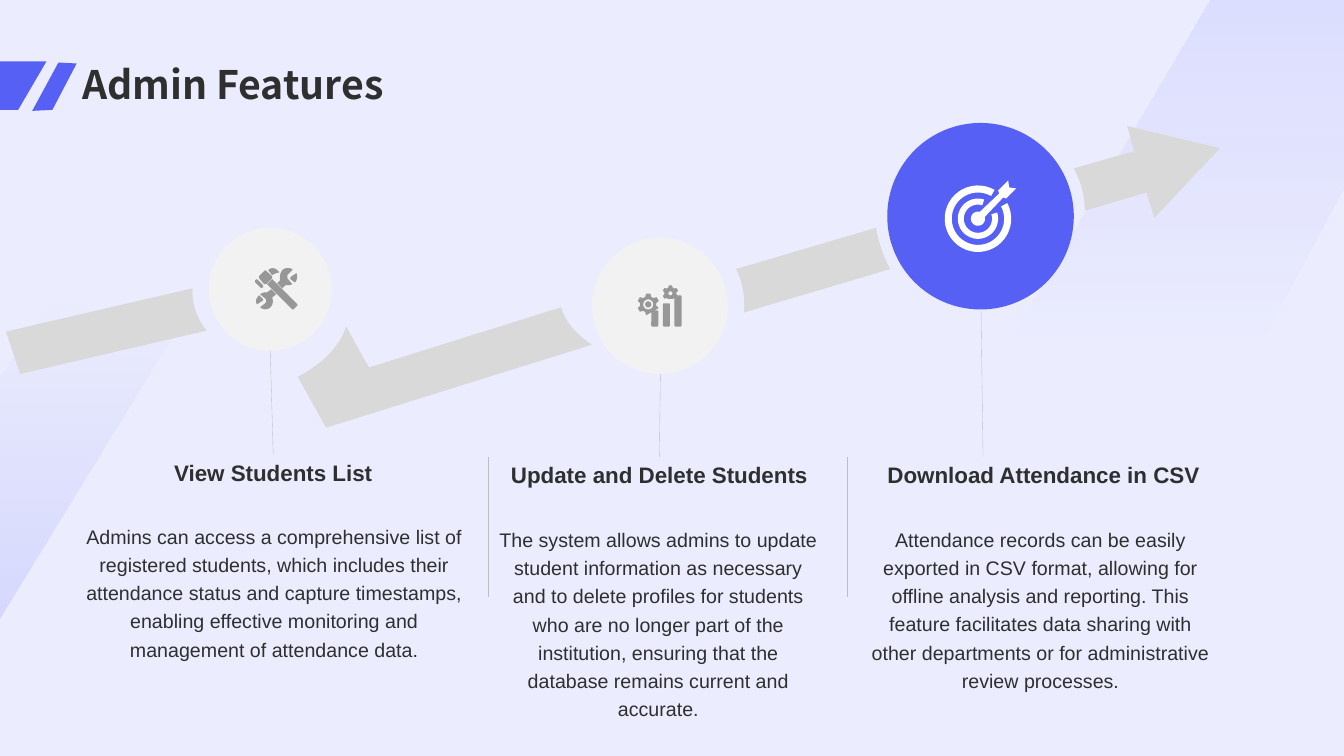
import math

import pptx
import pptx.dml.color
import pptx.enum.shapes
import pptx.enum.text
import pptx.oxml
import pptx.oxml.ns
import pptx.util
from pptx.util import Inches

COLORS = {"ground": "EBECFE", "wedge_left": "ABB1FC", "wedge_right": "ADB3FD",
          "accent": "5660F4", "ink": "2F2F2F", "arrow": "D9D9D9", "disc": "F2F2F2",
          "icon": "979797", "rule": "BFBFBF", "white": "FFFFFF"}
SHAPES = pptx.enum.shapes.MSO_SHAPE
ALIGN = pptx.enum.text.PP_ALIGN
ANCHOR = pptx.enum.text.MSO_ANCHOR


def arc(x, y, radius, start=0, end=360, steps=40):
    """Points on a circle, angles in degrees, clockwise from the right."""
    angles = [math.radians(start + (end - start) * i / steps) for i in range(steps + 1)]
    return [(x + radius * math.cos(a), y + radius * math.sin(a)) for a in angles]


def ring(x, y, outer, inner, start, end):
    return arc(x, y, outer, start, end) + arc(x, y, inner, end, start)


def gear(x, y, outer, root):
    """Outline with six teeth, each 60 degrees apart."""
    points = []
    for tooth in range(6):
        for turn, radius in ((-22, root), (-11, outer), (11, outer), (22, root)):
            angle = math.radians(60 * tooth - 90 + turn)
            points.append((x + radius * math.cos(angle), y + radius * math.sin(angle)))
    return points


def flatten(outline):
    """Replace six-number Bezier steps by points."""
    points = []
    for step in outline:
        if len(step) == 2:
            points.append(step)
            continue
        nodes = [points[-1], step[:2], step[2:4], step[4:]]
        for i in range(1, 9):
            t = i / 8
            weights = ((1 - t) ** 3, 3 * t * (1 - t) ** 2, 3 * t * t * (1 - t), t ** 3)
            points.append(tuple(sum(w * n[axis] for w, n in zip(weights, nodes))
                                for axis in (0, 1)))
    return points


class Painter:
    font = "Arial"

    def __init__(self, page):
        self.page = page

    def rgb(self, name):
        return pptx.dml.color.RGBColor.from_string(COLORS[name])

    def finish(self, shape, color):
        shape.shadow.inherit = False
        shape.line.fill.background()
        shape.fill.solid()
        shape.fill.fore_color.rgb = self.rgb(color)
        return shape

    def preset(self, kind, left, top, width, height, color):
        shape = self.page.shapes.add_shape(
            kind, Inches(left), Inches(top), Inches(width), Inches(height))
        return self.finish(shape, color)

    def outline(self, color, *outlines):
        builder = None
        for points in map(flatten, outlines):
            points = [(Inches(x), Inches(y)) for x, y in points]
            if builder is None:
                builder = self.page.shapes.build_freeform(*points[0])
            else:
                builder.move_to(*points[0])
            builder.add_line_segments(points[1:], close=True)
        return self.finish(builder.convert_to_shape(), color)

    def fade(self, shape, color, stops):
        """Vertical gradient of one colour; stops are (position, opacity) percents."""
        marks = "".join(
            f'<a:gs pos="{position * 1000}"><a:srgbClr val="{COLORS[color]}">'
            f'<a:alpha val="{opacity * 1000}"/></a:srgbClr></a:gs>'
            for position, opacity in stops)
        gradient = pptx.oxml.parse_xml(
            f'<a:gradFill {pptx.oxml.ns.nsdecls("a")} rotWithShape="1"><a:gsLst>{marks}'
            '</a:gsLst><a:lin ang="5400000" scaled="0"/></a:gradFill>')
        properties = shape.element.spPr
        properties.replace(properties.find(pptx.oxml.ns.qn("a:solidFill")), gradient)

    def text(self, words, left, top, width, height, size, bold=False, font=None,
             align=ALIGN.CENTER, anchor=ANCHOR.TOP, spacing=1.0):
        box = self.page.shapes.add_textbox(
            Inches(left), Inches(top), Inches(width), Inches(height))
        frame = box.text_frame
        frame.word_wrap = True
        frame.vertical_anchor = anchor
        frame.text = words
        para = frame.paragraphs[0]
        para.alignment = align
        para.line_spacing = spacing
        span = para.runs[0]
        span.font.name = font or self.font
        span.font.size = pptx.util.Pt(size)
        span.font.bold = bold
        span.font.color.rgb = self.rgb("ink")
        return box

    def rule(self, x1, y1, x2, y2):
        line = self.page.shapes.add_connector(
            pptx.enum.shapes.MSO_CONNECTOR.STRAIGHT,
            Inches(x1), Inches(y1), Inches(x2), Inches(y2))
        line.line.color.rgb = self.rgb("rule")
        line.line.width = pptx.util.Pt(0.25)
        line.element.spPr.append(
            pptx.oxml.parse_xml(f'<a:effectLst {pptx.oxml.ns.nsdecls("a")}/>'))
        return line


def main():
    deck = pptx.Presentation()
    deck.slide_width, deck.slide_height = Inches(13.33), Inches(7.5)
    paint = Painter(deck.slides.add_slide(deck.slide_layouts[6]))

    # Background and title
    paint.preset(SHAPES.RECTANGLE, -0.36, 0, 13.69, 7.5, "ground")
    left_wedge = paint.outline(
        "wedge_left", [(-0.37, 4.27), (0.49, 3.03), (1.9, 3.03), (-0.38, 6.76)])
    paint.fade(left_wedge, "wedge_left", [(0, 0), (100, 40)])
    right_wedge = paint.outline(
        "wedge_right", [(12, 0), (13.33, 0), (13.33, 1.85), (11.97, 4.39), (9.42, 4.39)])
    paint.fade(right_wedge, "wedge_right", [(0, 24), (76, 0)])
    paint.outline("accent", [(0.32, 1.1), (0.58, 0.62), (0.76, 0.63), (0.52, 1.09)])
    paint.outline("accent", [(0.46, 0.61), (-0.36, 0.61), (-0.36, 1.09), (0.18, 1.09)])
    paint.text("Admin Features", 0.72, 0, 11.88, 1.12, 28, True, "Noto Sans CJK SC",
               ALIGN.LEFT, ANCHOR.BOTTOM, 0.9)

    # Broken arrow behind the discs
    back_step = paint.outline("arrow", [
        (3.66, 3.6), (3.46, 3.18), (3.39, 3.37, 3.2, 3.54, 2.95, 3.65), (3.2, 4.17),
        (5.88, 3.51), (5.74, 3.4, 5.63, 3.27, 5.6, 3.12)])
    back_step.rotation = -3.5
    paint.outline("arrow", [
        (7.38, 3.1), (8.83, 2.67), (8.76, 2.54, 8.71, 2.4, 8.69, 2.26), (7.3, 2.67),
        (7.37, 2.8, 7.39, 2.95, 7.38, 3.1)])
    paint.outline("arrow", [
        (10.76, 2.09), (11.37, 1.91), (11.45, 2.16), (12.1, 1.47), (11.18, 1.25),
        (11.25, 1.5), (10.65, 1.67), (10.72, 1.8, 10.76, 1.94, 10.76, 2.09)])
    paint.outline("arrow", [
        (1.91, 2.86), (0.06, 3.29), (0.2, 3.71), (2.05, 3.28),
        (1.95, 3.16, 1.9, 3.01, 1.91, 2.86)])

    # Discs
    for left, top, size, color in ((2.07, 2.26, 1.22, "disc"), (5.87, 2.36, 1.35, "disc"),
                                   (8.8, 1.22, 1.85, "accent")):
        paint.preset(SHAPES.OVAL, left, top, size, size, color)

    # Tools icon: wrench jaws, hammer and handle
    paint.outline(
        "icon",
        [(2.57, 2.93), (2.61, 2.97), (2.61, 2.98), (2.55, 3.02), (2.53, 2.99, 2.54, 2.96, 2.57, 2.93)],
        [(2.69, 2.87), (2.74, 2.92), (2.7, 2.95), (2.71, 2.99, 2.71, 3.02, 2.68, 3.05),
         (2.66, 3.07, 2.62, 3.08, 2.58, 3.05), (2.64, 3), (2.64, 2.97), (2.58, 2.92),
         (2.61, 2.9, 2.63, 2.9, 2.65, 2.9)],
        [(2.7, 2.77), (2.95, 3.02), (2.95, 3.03), (2.91, 3.07), (2.9, 3.07), (2.65, 2.82)],
        [(2.55, 2.77), (2.61, 2.83), (2.61, 2.85), (2.59, 2.86), (2.53, 2.8), (2.53, 2.78)],
        [(2.94, 2.71), (2.95, 2.74, 2.95, 2.77, 2.93, 2.8), (2.92, 2.8), (2.88, 2.77), (2.88, 2.75)],
        [(2.63, 2.68), (2.7, 2.74), (2.7, 2.76), (2.64, 2.82), (2.62, 2.82), (2.57, 2.76), (2.57, 2.74)],
        [(2.66, 2.68), (2.69, 2.65, 2.73, 2.66, 2.75, 2.68), (2.79, 2.72, 2.76, 2.69, 2.7, 2.73)],
        [(2.9, 2.67), (2.9, 2.68), (2.85, 2.73), (2.85, 2.76), (2.9, 2.82),
         (2.88, 2.83, 2.85, 2.83, 2.83, 2.83), (2.8, 2.86), (2.75, 2.81), (2.78, 2.78),
         (2.77, 2.74, 2.78, 2.71, 2.8, 2.68), (2.82, 2.66, 2.86, 2.65, 2.9, 2.67)])

    # Gears and bars icon; the gears are trimmed beside the bars
    large = [(x, y) for x, y in gear(6.43, 3.02, 0.11, 0.08) if x < 6.45 or y < 3.07]
    small = [(x, y) for x, y in gear(6.65, 2.91, 0.08, 0.06) if y < 2.98]
    paint.outline("icon", large, arc(6.43, 3.02, 0.05), arc(6.43, 3.02, 0.03))
    paint.outline("icon", small, arc(6.65, 2.91, 0.02))
    for bar, top in enumerate((3.08, 3.01, 2.93)):
        paint.preset(SHAPES.ROUNDED_RECTANGLE, 6.46 + 0.115 * bar, top, 0.07, 3.24 - top, "icon")

    # Target icon: two open rings, bull's-eye with arrow
    paint.outline("white", ring(9.7, 2.17, 0.33, 0.26, -28, 300),
                  ring(9.7, 2.17, 0.2, 0.14, -18, 288),
                  arc(9.7, 2.17, 0.07, -15, 285) + [
                      (9.91, 1.92), (9.9, 1.89), (10, 1.79), (10.01, 1.86),
                      (10.08, 1.87), (9.98, 1.97), (9.95, 1.96)])

    # Text columns: heading box, body box, stem start and stem end (None joins the heading)
    columns = (
        ("View Students List", (0.72, 4.51, 3.98, 0.37),
         "Admins can access a comprehensive list of registered students, which includes their "
         "attendance status and capture timestamps, enabling effective monitoring and "
         "management of attendance data.", (0.73, 5.11, 3.98, 1.23), (2.68, 3.47), None),
        ("Update and Delete Students", (4.86, 4.53, 3.36, 0.37),
         "The system allows admins to update student information as necessary and to delete "
         "profiles for students who are no longer part of the institution, ensuring that the "
         "database remains current and accurate.", (4.85, 5.14, 3.36, 1.52), (6.55, 3.71), None),
        ("Download Attendance in CSV", (8.57, 4.53, 3.56, 0.37),
         "Attendance records can be easily exported in CSV format, allowing for offline analysis "
         "and reporting. This feature facilitates data sharing with other departments or for "
         "administrative review processes.", (8.51, 5.14, 3.62, 1.23), (9.73, 3.07), (9.75, 4.53)),
    )
    for heading, heading_box, body, body_box, start, end in columns:
        title = paint.text(heading, *heading_box, 16, bold=True)
        paint.text(body, *body_box, 14, spacing=1.2)
        stem = paint.rule(*start, *(end or start))
        if end is None:
            stem.end_connect(title, 0)

    # Column dividers
    for x in (4.84, 8.4):
        paint.rule(x, 4.53, x, 5.92)

    deck.save("out.pptx")


if __name__ == "__main__":
    main()
